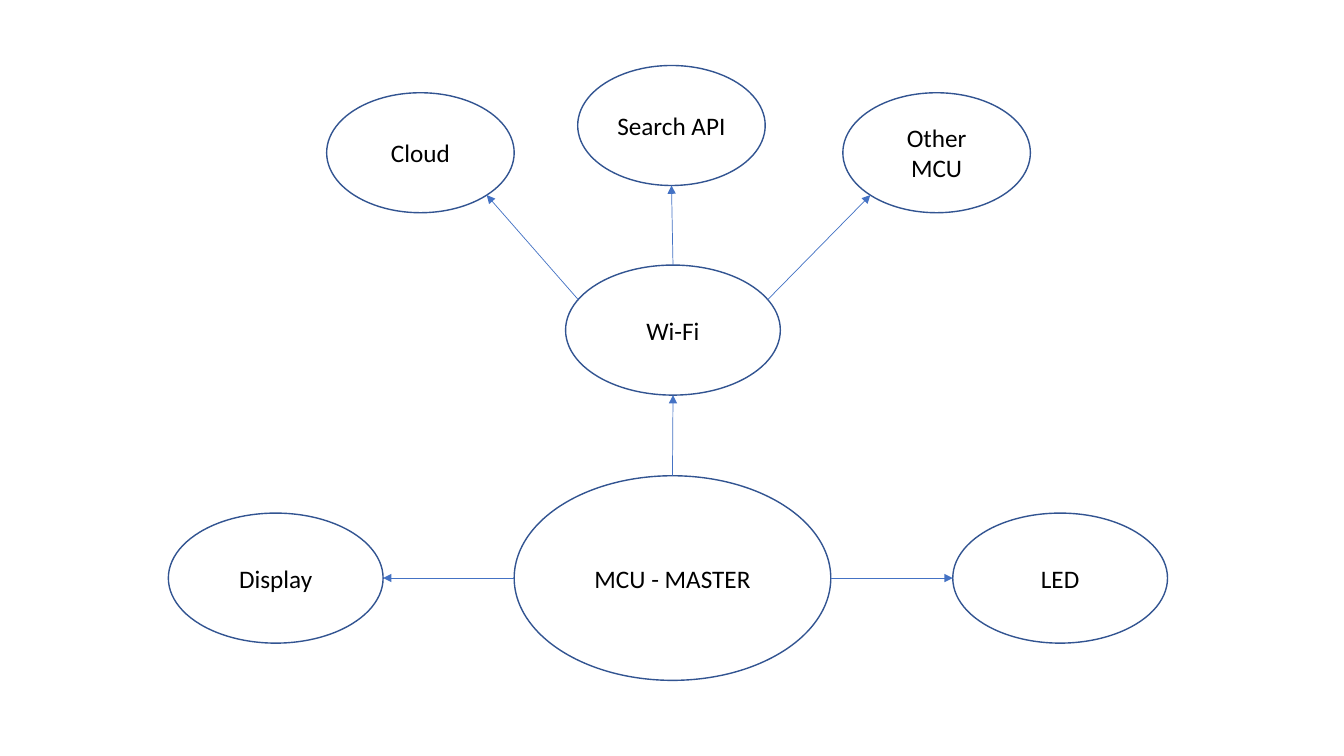
from math import cos, radians, sin

from pptx import Presentation
from pptx.dml.color import RGBColor
from pptx.enum.shapes import MSO_CONNECTOR, MSO_SHAPE
from pptx.enum.text import MSO_ANCHOR, PP_ALIGN
from pptx.oxml.ns import qn
from pptx.util import Inches, Pt
from lxml import etree

OVAL, STRAIGHT = MSO_SHAPE.OVAL, MSO_CONNECTOR.STRAIGHT
MIDDLE, CENTER = MSO_ANCHOR.MIDDLE, PP_ALIGN.CENTER
COLORS = {"fill": "FFFFFF", "outline": "325491", "arrow": "4472C4", "text": "000000"}
RIGHT, BOTTOM, LEFT, TOP = 0, 90, 180, 270
SMALL, MEDIUM = (1.86, 1.19), (2.13, 1.29)


def rgb(name):
    """Return the named palette colour."""
    return RGBColor.from_string(COLORS[name])


def add_node(s, text, left, top, width, height):
    """Draw a labelled ellipse."""
    sp = s.shapes.add_shape(OVAL, Inches(left), Inches(top), Inches(width), Inches(height))
    sp.shadow.inherit = False
    sp.fill.solid()
    sp.fill.fore_color.rgb = rgb("fill")
    sp.line.color.rgb = rgb("outline")
    sp.line.width = Pt(1)
    tf = sp.text_frame
    tf.word_wrap = True
    tf.vertical_anchor = MIDDLE
    p = tf.paragraphs[0]
    p.alignment = CENTER
    r = p.add_run()
    r.text = text
    r.font.name = "Calibri"
    r.font.size = Pt(18)
    r.font.color.rgb = rgb("text")
    return sp


def rim_point(sp, angle):
    """Return the point on an ellipse at a clockwise angle from its right end."""
    rx, ry = sp.width / 2, sp.height / 2
    return (round(sp.left + rx + rx * cos(radians(angle))),
            round(sp.top + ry + ry * sin(radians(angle))))


def add_arrow(s, source, source_angle, target, target_angle):
    """Draw an arrow between the rims of two ellipses."""
    cxn = s.shapes.add_connector(STRAIGHT, *rim_point(source, source_angle),
                                 *rim_point(target, target_angle))
    cxn.line.color.rgb = rgb("arrow")
    cxn.line.width = Pt(0.5)
    etree.SubElement(cxn.line._get_or_add_ln(), qn("a:tailEnd"), type="triangle")
    etree.SubElement(cxn._element.spPr, qn("a:effectLst"))


def add_wifi_branch(s, left, top, width, height):
    """Draw the Wi-Fi node with the three services above it."""
    w, h = MEDIUM
    wifi = add_node(s, "Wi-Fi", left + 2.37, top + height - h, w, h)
    services = [("Cloud", 0, 0.27, 208, 45),
                ("Search API", 2.49, 0, TOP, BOTTOM),
                ("Other MCU", width - SMALL[0], 0.27, 332, 135)]
    for text, dx, dy, start, end in services:
        service = add_node(s, text, left + dx, top + dy, *SMALL)
        add_arrow(s, wifi, start, service, end)
    return wifi


def add_master_row(s, left, top, width, height):
    """Draw the master node with a peripheral on each side."""
    master = add_node(s, "MCU - MASTER", left + 3.43, top, 3.14, height)
    w, h = MEDIUM
    for text, dx, start, end in [("Display", 0, LEFT, RIGHT), ("LED", width - w, RIGHT, LEFT)]:
        peripheral = add_node(s, text, left + dx, top + (height - h) / 2, w, h)
        add_arrow(s, master, start, peripheral, end)
    return master


prs = Presentation()
prs.slide_width, prs.slide_height = Inches(13.33), Inches(7.5)
s = prs.slides.add_slide(prs.slide_layouts[6])
wifi = add_wifi_branch(s, 3.24, 0.65, 6.98, 3.27)
master = add_master_row(s, 1.67, 4.72, 9.91, 2.03)
add_arrow(s, master, TOP, wifi, BOTTOM)
prs.save("out.pptx")
